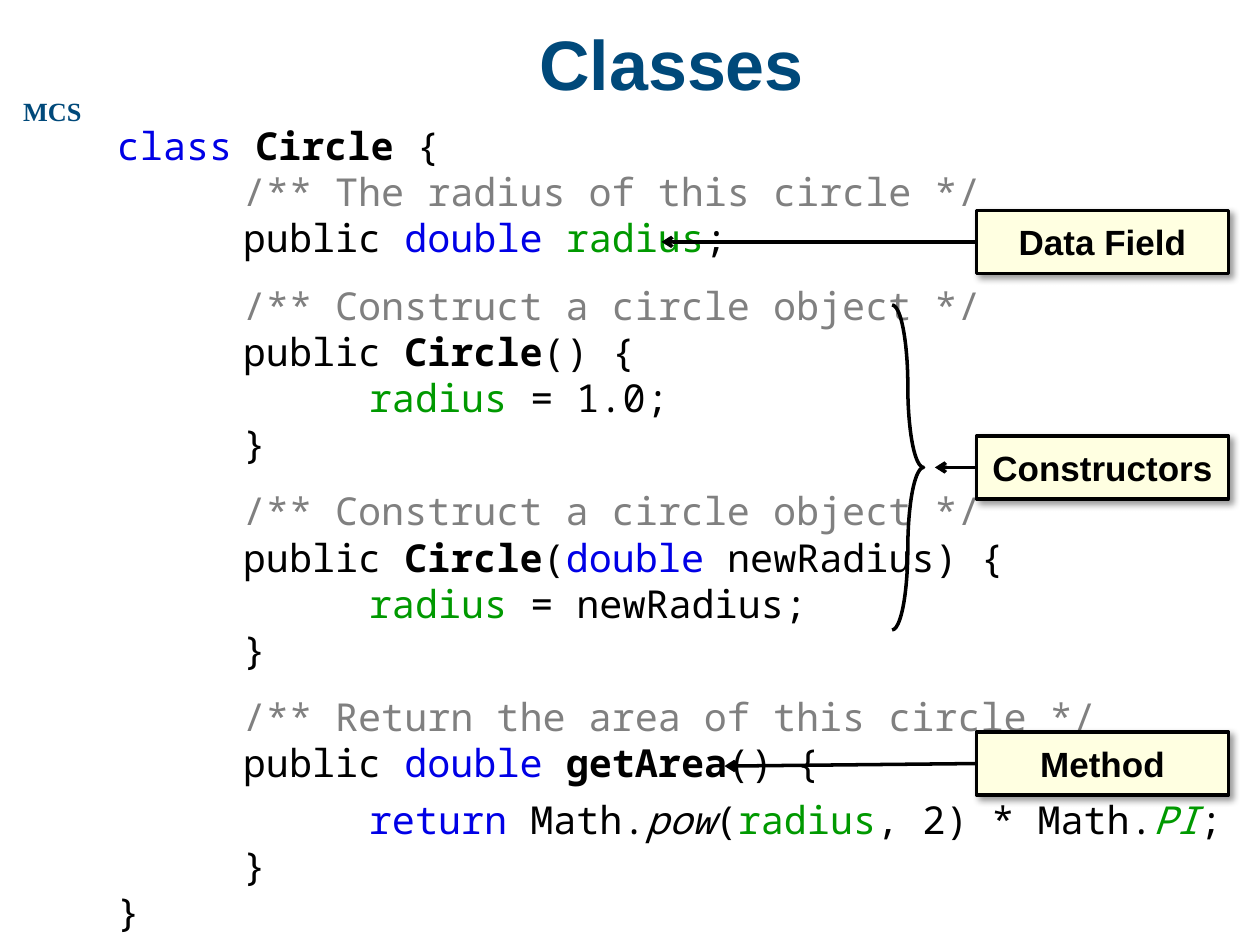
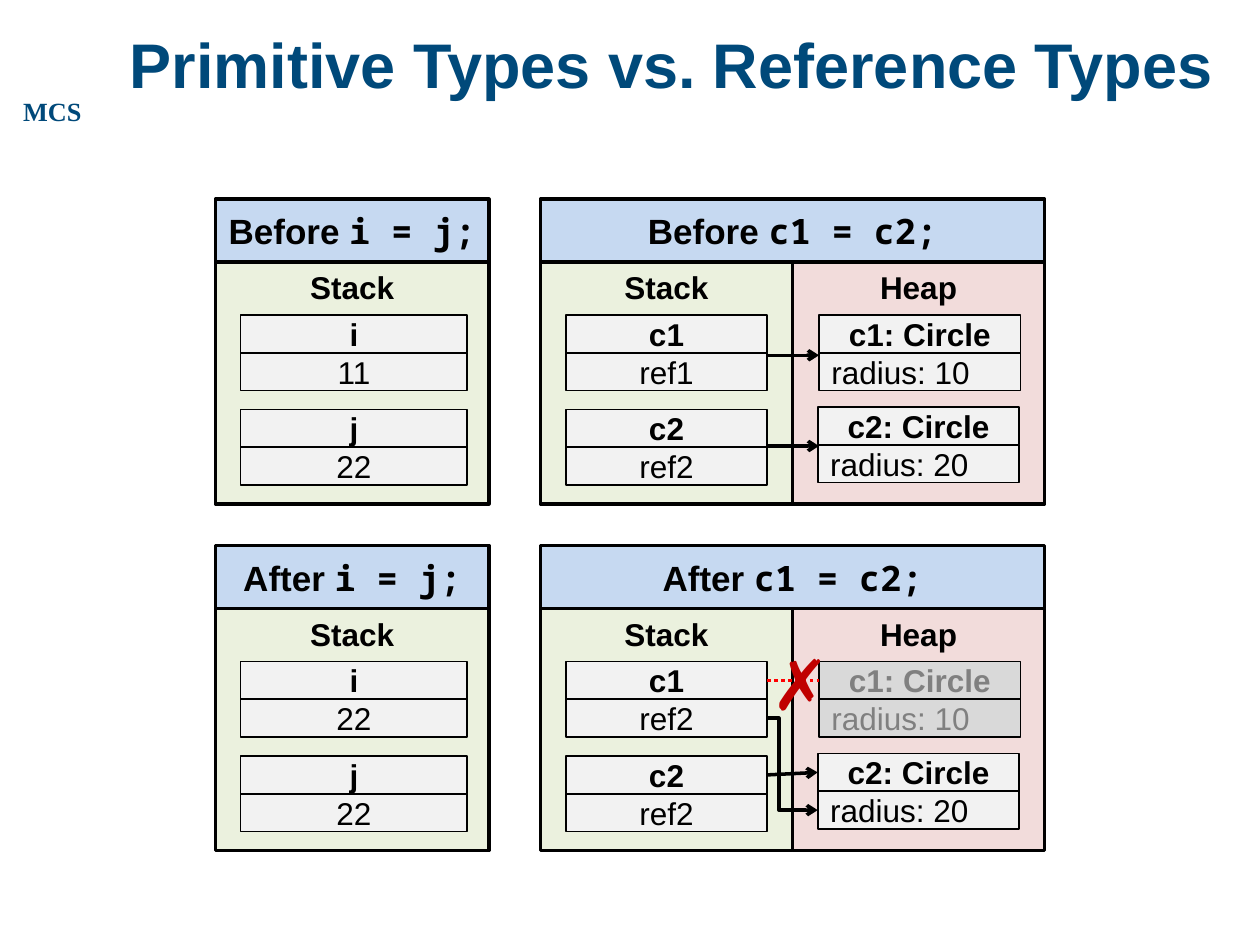
from lxml.etree import SubElement
from pptx import Presentation
from pptx.dml.color import RGBColor
from pptx.enum.dml import MSO_LINE
from pptx.enum.shapes import MSO_CONNECTOR, MSO_SHAPE
from pptx.enum.text import MSO_ANCHOR, PP_ALIGN
from pptx.oxml.ns import qn
from pptx.util import Inches, Pt

COLORS = {
    "title": "00497A", "ink": "000000", "key": "0000E6", "name": "009900",
    "note": "808080", "label": "FFFFE1", "stack": "EBF1DE", "heap": "F2DCDB",
    "head": "C6D9F1", "cell": "F2F2F2", "dead": "D9D9D9", "cut": "FF0000",
    "cross": "C00000",
}
SANS, MONO, SERIF, MARK = "Arial", "Noto Sans Mono", "Times New Roman", "Calibri"

KEY, NAME, NOTE = {"color": "key"}, {"color": "name"}, {"color": "note"}
BOLD, SLANT = {"bold": True}, {"italic": True}
CODE = [
    (0, [("class ", KEY), ("Circle ", BOLD), "{"]),
    (0, ["\t", ("/** The radius of this circle */", NOTE)]),
    (0, ["\tpublic ", ("double ", KEY), ("radius", NAME), ";"]),
    (12, ["\t", ("/** Construct a circle object */", NOTE)]),
    (0, ["\tpublic ", ("Circle", BOLD), "() {"]),
    (0, ["\t\t", ("radius", NAME), " = 1.0;"]),
    (0, ["\t}"]),
    (12, ["\t", ("/** Construct a circle object */", NOTE)]),
    (0, ["\tpublic ", ("Circle", BOLD), "(", ("double ", KEY), "newRadius) {"]),
    (0, ["\t\t", ("radius", NAME), " = newRadius;"]),
    (0, ["\t}"]),
    (12, ["\t", ("/** Return the area of this circle */", NOTE)]),
    (0, ["\tpublic ", ("double ", KEY), ("getArea", BOLD), "() {"]),
    (6, ["\t\t", ("return", KEY), " Math.", ("pow", SLANT), "(", ("radius", NAME),
         ", 2) * Math.", ("PI", NAME | SLANT), ";"]),
    (0, ["\t}"]),
    (0, ["}"]),
]


def rgb(name):
    return RGBColor.from_string(COLORS[name])


def write(frame, lines, align=PP_ALIGN.CENTER, anchor=MSO_ANCHOR.MIDDLE, tabs=(), wrap=True, **base):
    if isinstance(lines, str):
        lines = [(0, [lines])]
    frame.word_wrap = wrap
    frame.vertical_anchor = anchor
    for i, (gap, runs) in enumerate(lines):
        para = frame.add_paragraph() if i else frame.paragraphs[0]
        para.alignment = align
        if tabs:
            stops = SubElement(para._p.get_or_add_pPr(), qn("a:tabLst"))
            for stop in tabs:
                SubElement(stops, qn("a:tab"), pos=str(Inches(stop)), algn="l")
        if gap:
            para.space_before = Pt(gap)
        for part in runs:
            text, extra = (part, {}) if isinstance(part, str) else part
            look = {"font": SANS, "size": 18, "color": "ink", "bold": False, "italic": False}
            look |= base | extra
            run = para.add_run()
            run.text = text
            run.font.name = look["font"]
            run.font.size = Pt(look["size"])
            run.font.bold = look["bold"]
            run.font.italic = look["italic"]
            run.font.color.rgb = rgb(look["color"])


class Deck:
    def __init__(self):
        self.file = Presentation()
        self.file.slide_width, self.file.slide_height = Inches(10), Inches(7.5)
        self.slide = None

    def page(self, title, size):
        self.slide = self.file.slides.add_slide(self.file.slide_layouts[5])
        self.text((0.08, 0.71, 0.67, 0.35), "MCS", font=SERIF, size=15, bold=True,
                  color="title", wrap=False, anchor=MSO_ANCHOR.TOP)
        head = self.slide.shapes.title
        head.left, head.top, head.width, head.height = map(Inches, (0.83, 0, 9, 1))
        write(head.text_frame, title, size=size, bold=True, color="title")

    def text(self, at, lines, inset=None, **look):
        frame = self.slide.shapes.add_textbox(*map(Inches, at)).text_frame
        if inset is not None:
            frame.margin_left = frame.margin_right = Inches(inset)
            frame.margin_top = frame.margin_bottom = Inches(inset)
        write(frame, lines, **look)

    def box(self, at, lines, fill, width=2, **look):
        box = self.slide.shapes.add_shape(MSO_SHAPE.RECTANGLE, *map(Inches, at))
        box.shadow.inherit = False
        box.fill.solid()
        box.fill.fore_color.rgb = rgb(fill)
        box.line.color.rgb = rgb("ink")
        box.line.width = Pt(width)
        write(box.text_frame, lines, **look)
        return box

    def label(self, top, text, end):
        box = self.box((7.75, top, 2, 0.5), text, "label", size=20, bold=True)
        glow = SubElement(box._element.spPr.find(qn("a:effectLst")), qn("a:outerShdw"),
                          blurRad=str(Pt(4)), dist=str(Pt(3)), dir="2700000",
                          algn="tl", rotWithShape="0")
        tint = SubElement(glow, qn("a:srgbClr"), val=COLORS["ink"])
        SubElement(tint, qn("a:alpha"), val="40000")
        self.line((7.75, top + 0.25), end, start=(box, 1))

    def brace(self, at):
        brace = self.slide.shapes.add_shape(MSO_SHAPE.RIGHT_BRACE, *map(Inches, at))
        brace.shadow.inherit = False
        brace.adjustments[0] = at[3] / at[2] / 4
        brace.fill.background()
        brace.line.color.rgb = rgb("ink")
        brace.line.width = Pt(2)

    def line(self, a=(0, 0), b=(0, 0), start=None, stop=None, color="ink", dots=False, bend=None):
        kind = MSO_CONNECTOR.ELBOW if bend else MSO_CONNECTOR.STRAIGHT
        line = self.slide.shapes.add_connector(kind, *map(Inches, (*a, *b)))
        if start:
            line.begin_connect(*start)
        if stop:
            line.end_connect(*stop)
        line.line.color.rgb = rgb(color)
        line.line.width = Pt(2)
        props = line._element.spPr
        if dots:
            line.line.dash_style = MSO_LINE.ROUND_DOT
        else:
            SubElement(props.find(qn("a:ln")), qn("a:tailEnd"), type="arrow")
        if bend:
            guides = props.find(qn("a:prstGeom")).find(qn("a:avLst"))
            SubElement(guides, qn("a:gd"), name="adj1", fmla=f"val {round(bend * 100000)}")
        SubElement(props, qn("a:effectLst"))

    def pane(self, left, top, width, name, fill):
        self.box((left, top, width, 1.92), name, fill, bold=True, anchor=MSO_ANCHOR.TOP)

    def head(self, left, top, width, when, code):
        self.box((left, top, width, 0.5), [(0, [when + " ", (code, {"font": MONO})])],
                 "head", size=20, bold=True)

    def pair(self, left, top, width, name, value, fill="cell", color="ink", align=PP_ALIGN.CENTER):
        upper = self.box((left, top, width, 0.3), name, fill, 1, bold=True, color=color)
        lower = self.box((left, top + 0.3, width, 0.3), value, fill, 1, color=color, align=align)
        return upper, lower


def classes(deck):
    deck.page("Classes", 40)
    deck.text((0.83, 0.92, 9, 6.33), CODE, font=MONO, size=22, tabs=(1, 2),
              align=PP_ALIGN.LEFT, anchor=MSO_ANCHOR.TOP)
    deck.brace((7.08, 2.42, 0.25, 2.58))
    for top, text, end in ((1.67, "Data Field", (5.25, 1.92)),
                           (3.46, "Constructors", (7.42, 3.71)),
                           (5.81, "Method", (5.75, 6.08))):
        deck.label(top, text, end)


def types(deck):
    deck.page("Primitive Types vs. Reference Types", 36)
    left = PP_ALIGN.LEFT
    for top, when, first, ref in ((1.58, "Before", "11", "ref1"), (4.33, "After", "22", "ref2")):
        after = when == "After"
        body, row, low = top + 0.5, top + 0.92, top + 1.67

        deck.pane(1.71, body, 2.17, "Stack", "stack")
        deck.head(1.71, top, 2.17, when, "i = j;")
        deck.pair(1.91, row, 1.8, "i", first)
        deck.pair(1.91, low, 1.8, "j", "22")

        deck.pane(4.29, body, 2, "Stack", "stack")
        deck.pane(6.29, body, 2, "Heap", "heap")
        deck.head(4.29, top, 4, when, "c1 = c2;")
        c1, ref1 = deck.pair(4.49, row, 1.6, "c1", ref)
        c2, _ = deck.pair(4.49, low, 1.6, "c2", "ref2")
        fill, color = ("dead", "note") if after else ("cell", "ink")
        old, _ = deck.pair(6.5, row, 1.6, "c1: Circle", "radius: 10", fill, color, left)
        new, size = deck.pair(6.49, low - 0.02, 1.6, "c2: Circle", "radius: 20", align=left)

        if after:
            deck.line(start=(c2, 3), stop=(new, 1))
            deck.line(start=(ref1, 3), stop=(size, 1), bend=0.23)
            deck.line(start=(c1, 3), stop=(old, 1), color="cut", dots=True)
            deck.text((6.12, 5.08, 0.36, 0.67), "✗", inset=0, font=MARK, size=40,
                      color="cross", wrap=False, align=left, anchor=MSO_ANCHOR.TOP)
        else:
            for y in (2.82, 3.54):
                deck.line((6.08, y), (6.5, y))


def main():
    deck = Deck()
    classes(deck)
    types(deck)
    deck.file.save("out.pptx")


if __name__ == "__main__":
    main()
